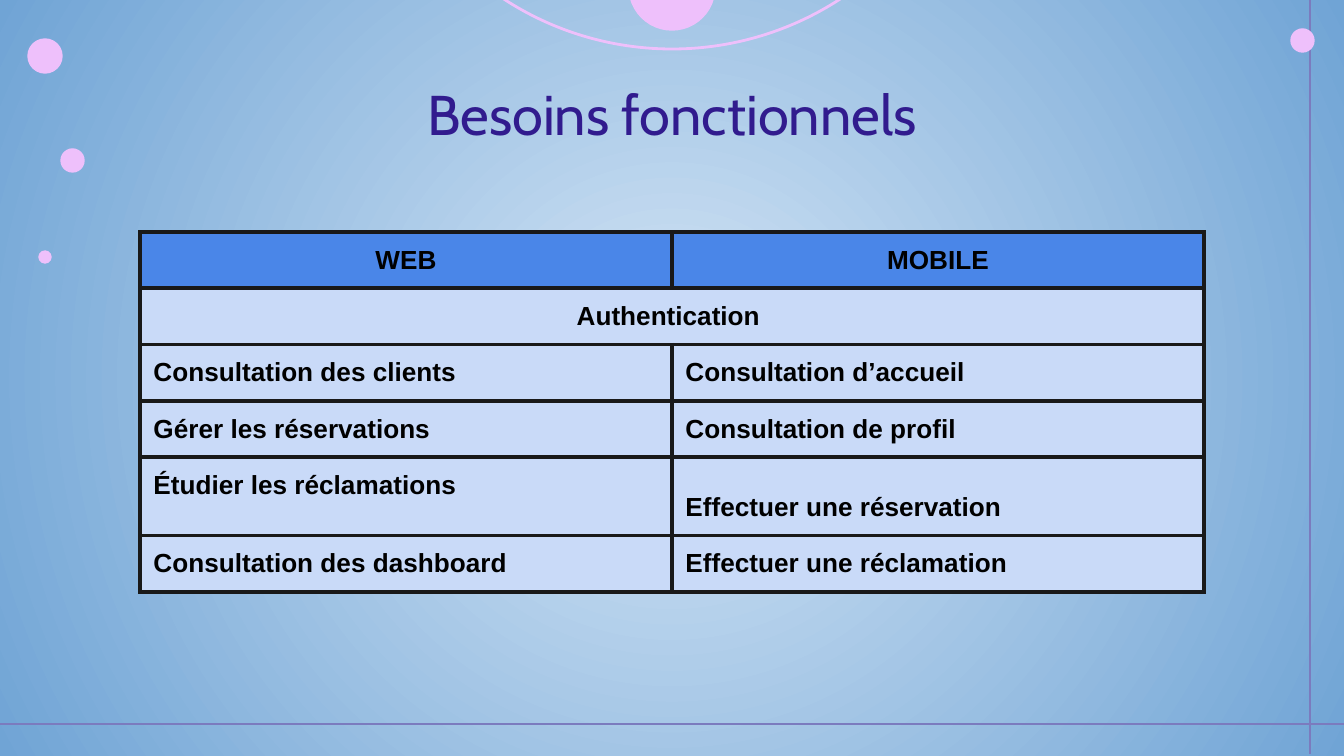
import lxml.etree
import pptx
import pptx.dml.color
import pptx.enum.dml
import pptx.enum.shapes
import pptx.enum.text
import pptx.oxml.ns
import pptx.util

SCALE = 914400 / 134.4
SLIDE_WIDTH, SLIDE_HEIGHT = 1344, 756
PINK, VIOLET, INK = "EEC0FB", "7B7BBE", "191919"
HEADER_FILL, BODY_FILL = "4A86E8", "C9DAF8"
CENTER = pptx.enum.text.PP_ALIGN.CENTER
LEFT = pptx.enum.text.PP_ALIGN.LEFT

NEEDS = [
    ("WEB", "MOBILE"),
    ("Authentication ", None),
    ("Consultation des clients", "Consultation d’accueil"),
    ("Gérer les réservations", "Consultation de profil"),
    ("Étudier les réclamations", "Effectuer une réservation"),
    ("Consultation des dashboard", "Effectuer une réclamation"),
]
LOOSE_TEXT = "Effectuer une réservation"


def px(length):
    """Turn a length in px into EMU."""
    return pptx.util.Emu(round(length * SCALE))


def color(value):
    """Turn a hex string into a colour."""
    return pptx.dml.color.RGBColor.from_string(value)


def add_element(parent, tag, **attributes):
    """Append a DrawingML element to a parent."""
    return lxml.etree.SubElement(parent, pptx.oxml.ns.qn(tag), attributes)


def paint_background(slide):
    """Fill the background with a gradient spreading from the centre."""
    fill = slide.background.fill
    fill.gradient()
    for stop, value, position in zip(fill.gradient_stops, ("D4E5F5", "70A4D5"), (0, 1)):
        stop.color.rgb = color(value)
        stop.position = position
    gradient = next(slide.element.iter(pptx.oxml.ns.qn("a:gradFill")))
    gradient.remove(gradient.find(pptx.oxml.ns.qn("a:lin")))
    circle = add_element(gradient, "a:path", path="circle")
    add_element(circle, "a:fillToRect", l="50000", t="50000", r="50000", b="50000")


def add_rule(slide, start, end):
    """Draw one thin line across the slide."""
    rule = slide.shapes.add_connector(
        pptx.enum.shapes.MSO_CONNECTOR.STRAIGHT, *map(px, start + end))
    rule.line.color.rgb = color(VIOLET)
    rule.line.width = pptx.util.Pt(1.5)
    add_element(rule.element.spPr, "a:effectLst")


def add_circle(slide, left, top, diameter, filled=True):
    """Draw a pink circle, either filled or as a ring."""
    circle = slide.shapes.add_shape(
        pptx.enum.shapes.MSO_SHAPE.OVAL, px(left), px(top), px(diameter), px(diameter))
    circle.shadow.inherit = False
    circle.line.color.rgb = color(PINK)
    circle.line.width = pptx.util.Pt(0.75 if filled else 1.5)
    if filled:
        circle.fill.solid()
        circle.fill.fore_color.rgb = color(PINK)
    else:
        circle.fill.background()


def add_decor(slide, width, height):
    """Place the rules, the ring and the dots around the slide edges."""
    add_rule(slide, (width - 34, -1), (width - 34, height - 2))
    add_rule(slide, (0, height - 32), (width + 7, height - 32))
    add_circle(slide, width / 2 - 308, -567, 616, filled=False)
    dots = [(width - 53, 29, 23), (width / 2 - 43, -56, 86),
            (28, 39, 34), (61, 149, 23), (39, 251, 12)]
    for left, top, diameter in dots:
        add_circle(slide, left, top, diameter)


def add_text(paragraph, text, font_name, size, value, alignment, bold=False):
    """Add one formatted run to a paragraph."""
    paragraph.alignment = alignment
    run = paragraph.add_run()
    run.text = text
    run.font.name = font_name
    run.font.size = pptx.util.Pt(size)
    run.font.bold = bold
    run.font.color.rgb = color(value)


def place_title(slide, left, top, width, height):
    """Move the title placeholder into its box and write the title."""
    title = slide.shapes.title
    title.left, title.top, title.width, title.height = map(px, (left, top, width, height))
    frame = title.text_frame
    frame.word_wrap = True
    frame.auto_size = pptx.enum.text.MSO_AUTO_SIZE.NONE
    frame.vertical_anchor = pptx.enum.text.MSO_ANCHOR.TOP
    frame.margin_left = frame.margin_right = pptx.util.Inches(0.1)
    frame.margin_top = frame.margin_bottom = pptx.util.Inches(0.1)
    add_text(frame.paragraphs[0], "Besoins fonctionnels", "Cabin", 30, "311B8E", CENTER)


def style_cell(cell, value):
    """Give a cell its margins, borders and fill."""
    cell.margin_left = cell.margin_right = pptx.util.Inches(0.1)
    cell.margin_top = cell.margin_bottom = pptx.util.Inches(0.1)
    properties = cell._tc.get_or_add_tcPr()
    for side in ("a:lnL", "a:lnR", "a:lnT", "a:lnB"):
        border = add_element(properties, side, w=str(pptx.util.Pt(2.25)))
        add_element(add_element(border, "a:solidFill"), "a:srgbClr", val=INK)
    cell.fill.solid()
    cell.fill.fore_color.rgb = color(value)


def add_needs_table(slide, left, top, width, row_height):
    """Build the table of web and mobile needs."""
    table = slide.shapes.add_table(
        len(NEEDS), 2, px(left), px(top), px(width), px(row_height * len(NEEDS))).table
    table.first_row = table.horz_banding = False
    for row_index, texts in enumerate(NEEDS):
        for column_index, text in enumerate(texts):
            cell = table.cell(row_index, column_index)
            style_cell(cell, BODY_FILL if row_index else HEADER_FILL)
            if text is None:
                table.cell(row_index, 0).merge(cell)
                continue
            paragraph = cell.text_frame.paragraphs[0]
            if text == LOOSE_TEXT:
                paragraph.line_spacing = 1.75
            alignment = CENTER if row_index < 2 else LEFT
            add_text(paragraph, text, "Arial", 14, "000000", alignment, bold=True)


def main():
    """Build and save the presentation."""
    presentation = pptx.Presentation()
    presentation.slide_width, presentation.slide_height = px(SLIDE_WIDTH), px(SLIDE_HEIGHT)
    slide = presentation.slides.add_slide(presentation.slide_layouts[5])
    paint_background(slide)
    add_decor(slide, SLIDE_WIDTH, SLIDE_HEIGHT)
    place_title(slide, 106, 66, 1132, 85)
    add_needs_table(slide, 140, 232, 1064, 56)
    presentation.save("out.pptx")


if __name__ == "__main__":
    main()
